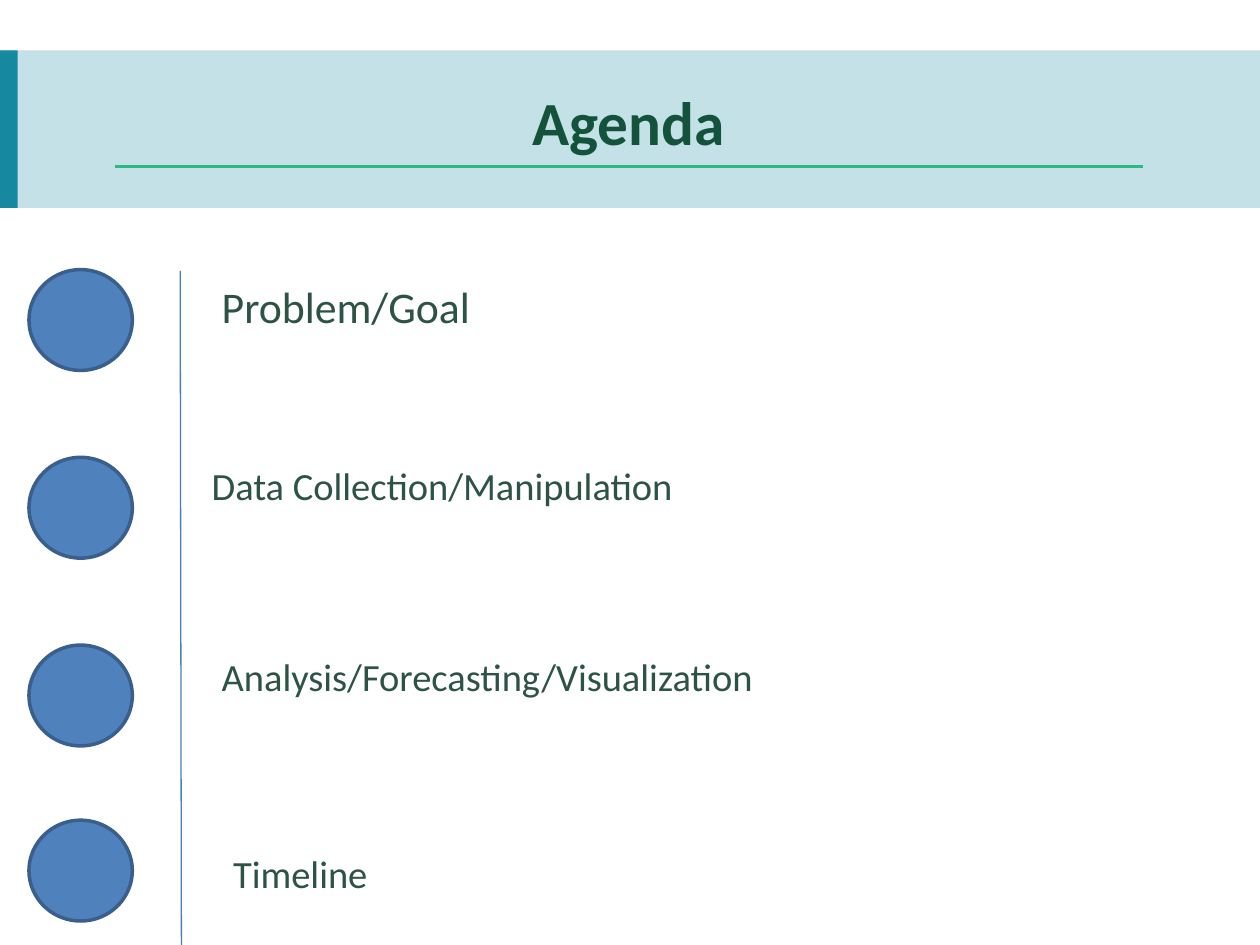
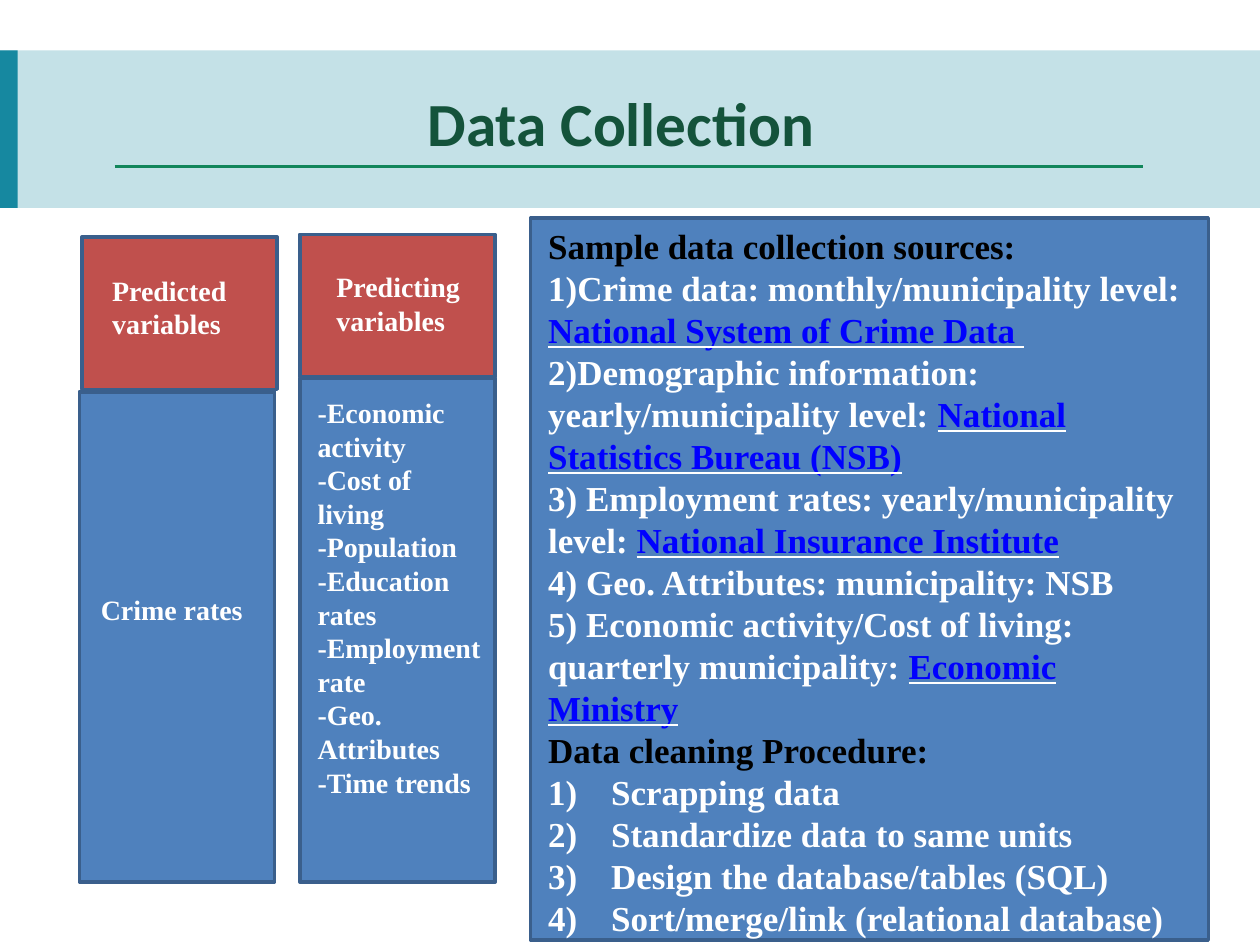
import pptx
import pptx.util
import pptx.dml.color
import pptx.enum.shapes
import pptx.enum.text
import pptx.oxml.ns
from lxml import etree

COLS, ROWS = 100, 75
UNIT = pptx.util.Inches(0.1)
KIND = pptx.enum.shapes.MSO_SHAPE
ALIGN = pptx.enum.text.PP_ALIGN
TEAL, BLUE, RED, EDGE = "1688A0", "4F81BD", "C0504D", "3A5F8C"
WHITE, BLACK, LINK = "FFFFFF", "000000", "0000FF"
TITLE = {"size": 35, "name": "Calibri", "bold": True, "color": "14533B"}
ITEM = {"size": 22, "name": "Calibri", "bold": False, "color": "2D5345"}
LABEL = {"size": 16, "name": "Times New Roman", "bold": True, "color": WHITE}
SOURCE = {**LABEL, "size": 20}
HEADING = {**SOURCE, "color": BLACK}
ANCHOR = {**SOURCE, "color": LINK, "underline": True}

AGENDA = [
    ("Problem/Goal", 25, 0.8, 0, 0),
    ("Data Collection/Manipulation", 22, 0, 74, 14.9),
    ("Analysis/Forecasting/Visualization", 22, 0.8, 83, 29.8),
    ("Timeline", 22, 1.7, 86, 43.7),
]
TRENDS = ["-Economic activity", "-Cost of living", "-Population", "-Education rates",
          "-Employment rate", "-Geo. Attributes", "-Time trends"]
CARDS = [
    (RED, (0.2, 0.2, 15.5, 12.1), (2.4, 2.9), ["Predicted", "variables"]),
    (BLUE, (0, 12.5, 15.5, 38.9), (1.7, 15.9), ["Crime rates"]),
    (BLUE, (17.5, 11.4, 15.5, 40), (1.4, 1.4), TRENDS),
    (RED, (17.5, 0, 15.5, 11.3), (2.9, 2.8), ["Predicting", "variables"]),
]
FEEDS = [
    [("Sample data collection sources:", HEADING)],
    [("1)Crime data: monthly/municipality level:", SOURCE)],
    [("National System of Crime Data ", ANCHOR)],
    [("2)Demographic information: yearly/municipality level: ", SOURCE),
     ("National Statistics Bureau (NSB)", ANCHOR)],
    [("3) Employment rates: yearly/municipality level: ", SOURCE),
     ("National Insurance Institute", ANCHOR)],
    [("4) Geo. Attributes: municipality: NSB", SOURCE)],
    [("5) Economic activity/Cost of living: quarterly municipality: ", SOURCE),
     ("Economic Ministry", ANCHOR)],
    [("Data cleaning Procedure:", HEADING)],
]
STEPS = ["Scrapping data", "Standardize data to same units",
         "Design the database/tables (SQL)", "Sort/merge/link (relational database)"]


def grid(*spans):
    return [round(span * UNIT) for span in spans]


def inside(box, x, y, w, h):
    return box[0] + x, box[1] + y, w, h


def tint(value):
    return pptx.dml.color.RGBColor.from_string(value)


def node(parent, tag, **values):
    return etree.SubElement(parent, pptx.oxml.ns.qn(tag), values)


def paint(shape, fill, edge=None):
    shape.fill.solid()
    shape.fill.fore_color.rgb = tint(fill)
    if edge:
        shape.line.color.rgb = tint(edge)
        shape.line.width = pptx.util.Pt(2)
    else:
        shape.line.fill.background()


def block(slide, kind, box, fill, edge=None):
    shape = slide.shapes.add_shape(kind, *grid(*box))
    shape.shadow.inherit = False
    paint(shape, fill, edge)
    return shape


def rule(slide, start, end, color, width):
    line = slide.shapes.add_connector(
        pptx.enum.shapes.MSO_CONNECTOR.STRAIGHT, *grid(*start, *end))
    line.line.color.rgb = tint(color)
    line.line.width = pptx.util.Pt(width)
    node(line.element.spPr, "a:effectLst")


def seat(holder, box):
    for name, value in zip(("left", "top", "width", "height"), grid(*box)):
        setattr(holder, name, value)


def frame(shape, left=1, top=0.5, right=1):
    text = shape.text_frame
    edges = grid(left, top, right, 0.5)
    form = dict(zip(("margin_left", "margin_top", "margin_right", "margin_bottom"), edges),
                word_wrap=True,
                auto_size=pptx.enum.text.MSO_AUTO_SIZE.NONE,
                vertical_anchor=pptx.enum.text.MSO_ANCHOR.TOP)
    for name, value in form.items():
        setattr(text, name, value)
    return text


def style(run, form):
    for name, value in form.items():
        if name == "color":
            run.font.color.rgb = tint(value)
        else:
            setattr(run.font, name, pptx.util.Pt(value) if name == "size" else value)
    if form.get("underline"):
        fill = run.font._element.find(pptx.oxml.ns.qn("a:solidFill"))
        under = node(run.font._element, "a:uFill")
        node(node(under, "a:solidFill"), "a:srgbClr", val=WHITE)
        fill.addnext(under)


def write(text, first, runs, align=ALIGN.LEFT, gap=0, indent=0, hang=0, number=False):
    para = text.paragraphs[0] if first else text.add_paragraph()
    para.alignment = align
    para.space_before = pptx.util.Pt(gap)
    props = para._p.get_or_add_pPr()
    for name, value in zip(("marL", "indent"), grid(indent, hang)):
        props.set(name, str(value))
    if number:
        node(props, "a:buAutoNum", type="arabicParenR")
    else:
        node(props, "a:buNone")
    for words, form in runs:
        run = para.add_run()
        run.text = words
        style(run, form)


def header(slide, box, words, spot, color):
    band = block(slide, KIND.RECTANGLE, box, TEAL)
    shade = band.element.spPr.find(".//" + pptx.oxml.ns.qn("a:srgbClr"))
    node(shade, "a:alpha", val="25000")
    block(slide, KIND.RECTANGLE, inside(box, -0.1, 0, 1.5, box[3]), TEAL)
    left, base, wide, _ = inside(box, 9.1, 9.2, 81.6, 0)
    rule(slide, (left, base), (left + wide, base), color, 2)
    title = slide.shapes.title
    seat(title, inside(box, *spot))
    write(frame(title), True, [(words, TITLE)], ALIGN.CENTER)
    title.element.getparent().append(title.element)


def agenda(slide, box):
    left, top, wide, high = box
    rule(slide, (left + 12, top + 0.1), (left + 12.1, top + high), "4A7EBB", 0.75)
    body = slide.placeholders[1]
    seat(body, inside(box, 13.5, 0.3, wide - 13.5, high - 0.3))
    text = frame(body)
    for spot, (words, size, indent, gap, drop) in enumerate(AGENDA):
        block(slide, KIND.OVAL, inside(box, 0, drop, 8.2, 8), BLUE, EDGE)
        write(text, spot == 0, [(words, {**ITEM, "size": size})], gap=gap, indent=indent)


def cards(slide, box):
    for fill, place, (left, top), lines in CARDS:
        card = block(slide, KIND.RECTANGLE, inside(box, *place), fill, EDGE)
        text = frame(card, left, top, 0.9)
        for spot, words in enumerate(lines):
            write(text, spot == 0, [(words, LABEL)])


def feeds(slide, box):
    body = slide.placeholders[1]
    seat(body, box)
    paint(body, BLUE, EDGE)
    text = frame(body, 1.4, 0.5, 2.1)
    for spot, runs in enumerate(FEEDS):
        write(text, spot == 0, runs)
    for words in STEPS:
        write(text, False, [(words, SOURCE)], indent=5, hang=-5, number=True)


def main():
    deck = pptx.Presentation()
    deck.slide_width, deck.slide_height = grid(COLS, ROWS)
    layout = deck.slide_layouts[1]
    band = (0, 4, COLS + 0.2, 12.5)

    slide = deck.slides.add_slide(layout)
    header(slide, band, "Agenda", (9.1, 2.2, 81.6, 5.7), "2CB984")
    agenda(slide, (2.3, 21.4, 86.2, ROWS - 21.4))

    slide = deck.slides.add_slide(layout)
    header(slide, band, "Data Collection", (27, 2.3, 44.6, 5.7), "12865B")
    cards(slide, (6.3, 18.6, 33, 51.4))
    feeds(slide, (42.1, 17.3, 53.8, 57.3))

    deck.save("out.pptx")


if __name__ == "__main__":
    main()
